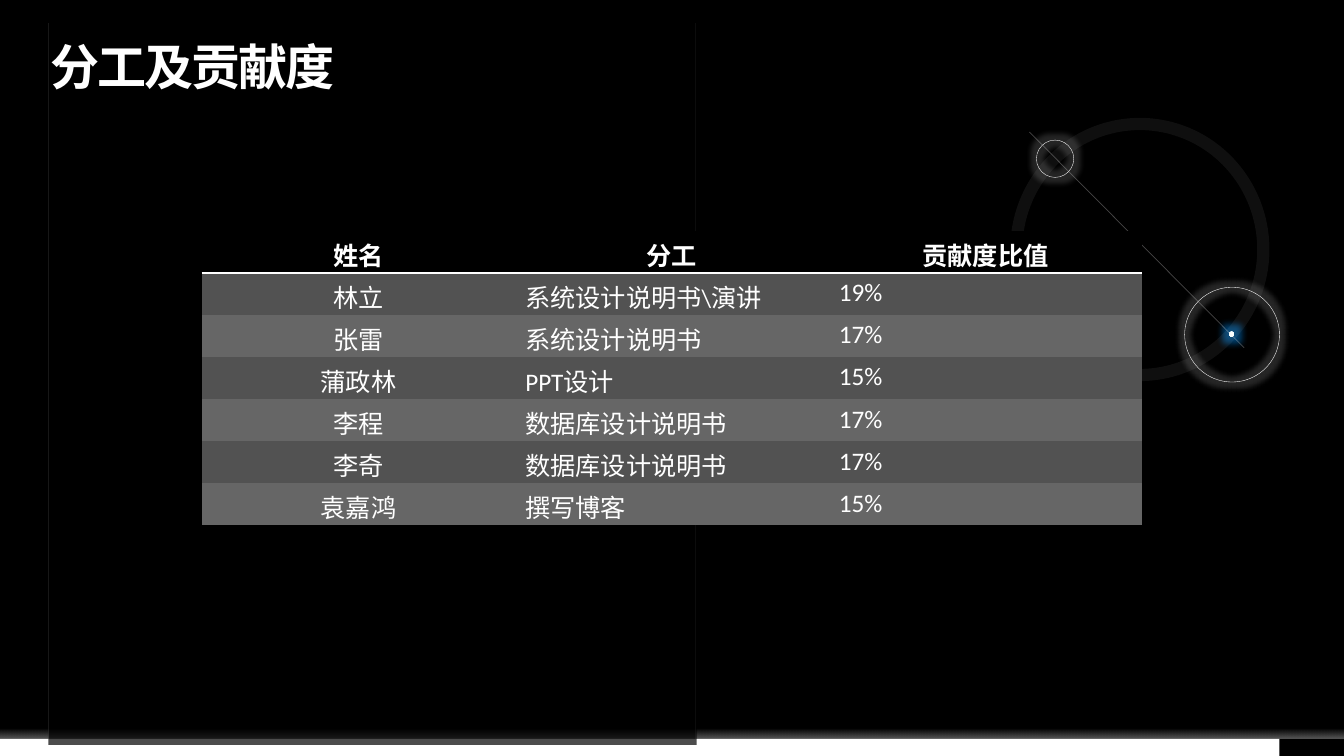
from dataclasses import dataclass

from lxml.etree import SubElement
from pptx import Presentation
from pptx.dml.color import RGBColor
from pptx.enum.shapes import MSO_CONNECTOR, MSO_SHAPE
from pptx.enum.text import MSO_ANCHOR, PP_ALIGN
from pptx.oxml import parse_xml
from pptx.oxml.ns import nsdecls, qn
from pptx.util import Inches, Pt


@dataclass(frozen=True)
class Theme:
    black: str = "000000"
    white: str = "FFFFFF"
    guide: str = "F2F2F2"
    axis: str = "E7E6E6"
    glow: str = "0070C0"
    bands: tuple = ("525252", "666666")
    latin: str = "Calibri"
    cjk: str = "Noto Sans CJK SC"
    title_size: float = 35
    body_size: float = 18


T = Theme()
NO_STYLE = "{2D5ABB26-0587-4C30-8999-92F81FD0307C}"
HEADER = ("姓名", "分工", "贡献度比值")
MEMBERS = (
    ("林立", "系统设计说明书\\演讲", "19%"),
    ("张雷", "系统设计说明书", "17%"),
    ("蒲政林", "PPT设计", "15%"),
    ("李程", "数据库设计说明书", "17%"),
    ("李奇", "数据库设计说明书", "17%"),
    ("袁嘉鸿", "撰写博客", "15%"),
)


def color_xml(color, alpha=100):
    return f'<a:srgbClr val="{color}"><a:alpha val="{alpha * 1000}"/></a:srgbClr>'


def set_alpha(parent, alpha):
    for clr in parent.iter(qn("a:srgbClr")):
        SubElement(clr, qn("a:alpha"), val=str(alpha * 1000))


def style_line(shape, color, width, alpha=100):
    shape.line.color.rgb = RGBColor.from_string(color)
    shape.line.width = Pt(width)
    set_alpha(shape.element.spPr.find(qn("a:ln")), alpha)


def style_text(r, **values):
    for name, value in values.items():
        setattr(r.font, name, value)
    r.font.color.rgb = RGBColor.from_string(T.white)
    SubElement(r.font._element, qn("a:ea"), typeface=T.cjk)


def add_plain(slide, kind, x, y, w, h, fill=None, alpha=100):
    sp = slide.shapes.add_shape(kind, Inches(x), Inches(y), Inches(w), Inches(h))
    sp.shadow.inherit = False
    sp.line.fill.background()
    if fill:
        sp.fill.solid()
        sp.fill.fore_color.rgb = RGBColor.from_string(fill)
        set_alpha(sp.element.spPr.find(qn("a:solidFill")), alpha)
    else:
        sp.fill.background()
    return sp


def set_gradient(sp, stops, direction):
    sp.fill.gradient()
    spPr = sp.element.spPr
    stops_xml = "".join(
        f'<a:gs pos="{pos * 1000}">{color_xml(color, alpha)}</a:gs>'
        for pos, color, alpha in stops)
    spPr.replace(spPr.find(qn("a:gradFill")), parse_xml(
        f'<a:gradFill {nsdecls("a")} rotWithShape="1">'
        f'<a:gsLst>{stops_xml}</a:gsLst>{direction}</a:gradFill>'))


def add_glow(sp, color, radius, alpha):
    sp.element.spPr.find(qn("a:effectLst")).append(parse_xml(
        f'<a:glow {nsdecls("a")} rad="{Pt(radius)}">{color_xml(color, alpha)}</a:glow>'))


def add_line(slide, x1, y1, x2, y2, color, width, alpha):
    cn = slide.shapes.add_connector(
        MSO_CONNECTOR.STRAIGHT, Inches(x1), Inches(y1), Inches(x2), Inches(y2))
    style_line(cn, color, width, alpha)
    SubElement(cn.element.spPr, qn("a:effectLst"))


def add_backdrop(slide, w, h):
    slide.background.fill.solid()
    slide.background.fill.fore_color.rgb = RGBColor.from_string(T.black)
    strip, left, right, foot = 0.17, 0.48, 6.9, 7.33
    add_plain(slide, MSO_SHAPE.RECTANGLE, 0, h - strip, 12.69, strip, T.white)
    fade = add_plain(slide, MSO_SHAPE.RECTANGLE, 0, h - 2 * strip, w, strip)
    set_gradient(fade, ((40, T.white, 0), (100, T.white, 35)),
                 '<a:lin ang="5400000" scaled="0"/>')
    add_plain(slide, MSO_SHAPE.RECTANGLE, left, 4.26, 6.43, 3.13, T.black, 70)
    for x in (right, left):
        add_line(slide, x, 0.23, x, foot, T.guide, 0.25, 15)


def add_title(slide, x, y, w, h, text):
    tf = slide.shapes.add_textbox(
        Inches(x), Inches(y), Inches(w), Inches(h)).text_frame
    for name, value in dict(word_wrap=True, vertical_anchor=MSO_ANCHOR.BOTTOM,
                            margin_left=0, margin_top=0,
                            margin_right=0, margin_bottom=0).items():
        setattr(tf, name, value)
    p = tf.paragraphs[0]
    p.line_spacing = 0.9
    r = p.add_run()
    r.text = text
    style_text(r, name=T.cjk, size=Pt(T.title_size), bold=True)
    r.font._element.set("spc", "-150")


def add_orbit(slide, x, y):
    for dx, dy, d in ((1.67, 1.62, 0.94), (0.2, 0.16, 0.37)):
        planet = add_plain(slide, MSO_SHAPE.OVAL, x + dx, y + dy, d, d)
        style_line(planet, T.white, 0.25)
        add_glow(planet, T.white, 8, 15)
    core = add_plain(slide, MSO_SHAPE.OVAL, x + 2.11, y + 2.06, 0.05, 0.05)
    set_gradient(core, ((0, T.white, 100), (65, "F7FFFF", 100), (70, "C1E4FF", 100)),
                 '<a:path path="circle"><a:fillToRect l="50000" t="50000" '
                 'r="50000" b="50000"/></a:path>')
    add_glow(core, T.glow, 10, 60)
    ring = add_plain(slide, MSO_SHAPE.OVAL, x, y, 2.45, 2.49)
    style_line(ring, T.white, 8.75, 6)
    add_line(slide, x + 0.13, y + 0.08, x + 2.26, y + 2.22, T.axis, 0.5, 30)


def add_members(slide, x, y, w, h):
    rows = (HEADER, *MEMBERS)
    frame = slide.shapes.add_table(
        len(rows), len(HEADER), Inches(x), Inches(y), Inches(w), Inches(h))
    for style in frame.element.iter(qn("a:tableStyleId")):
        style.text = NO_STYLE
    for i, row in enumerate(rows):
        for j, text in enumerate(row):
            cell = frame.table.cell(i, j)
            cell.fill.solid()
            fill = T.bands[(i - 1) % 2] if i else T.black
            cell.fill.fore_color.rgb = RGBColor.from_string(fill)
            p = cell.text_frame.paragraphs[0]
            p.alignment = PP_ALIGN.CENTER if i == 0 or j == 0 else PP_ALIGN.LEFT
            r = p.add_run()
            r.text = text
            style_text(r, name=T.latin, size=Pt(T.body_size), bold=i == 0)
            if i == 0:
                cell._tc.get_or_add_tcPr().insert(0, parse_xml(
                    f'<a:lnB {nsdecls("a")} w="{Pt(2)}"><a:solidFill>'
                    f'{color_xml(T.white)}</a:solidFill></a:lnB>'))


def main():
    prs = Presentation()
    w, h = 13.33, 7.5
    prs.slide_width, prs.slide_height = Inches(w), Inches(h)
    s = prs.slides.add_slide(prs.slide_layouts[6])
    add_backdrop(s, w, h)
    add_title(s, 0.5, 0.16, 5.56, 0.79, "分工及贡献度")
    add_orbit(s, 10.08, 1.23)
    add_members(s, 2, 2.29, 9.33, 2.92)
    prs.save("out.pptx")


if __name__ == "__main__":
    main()
